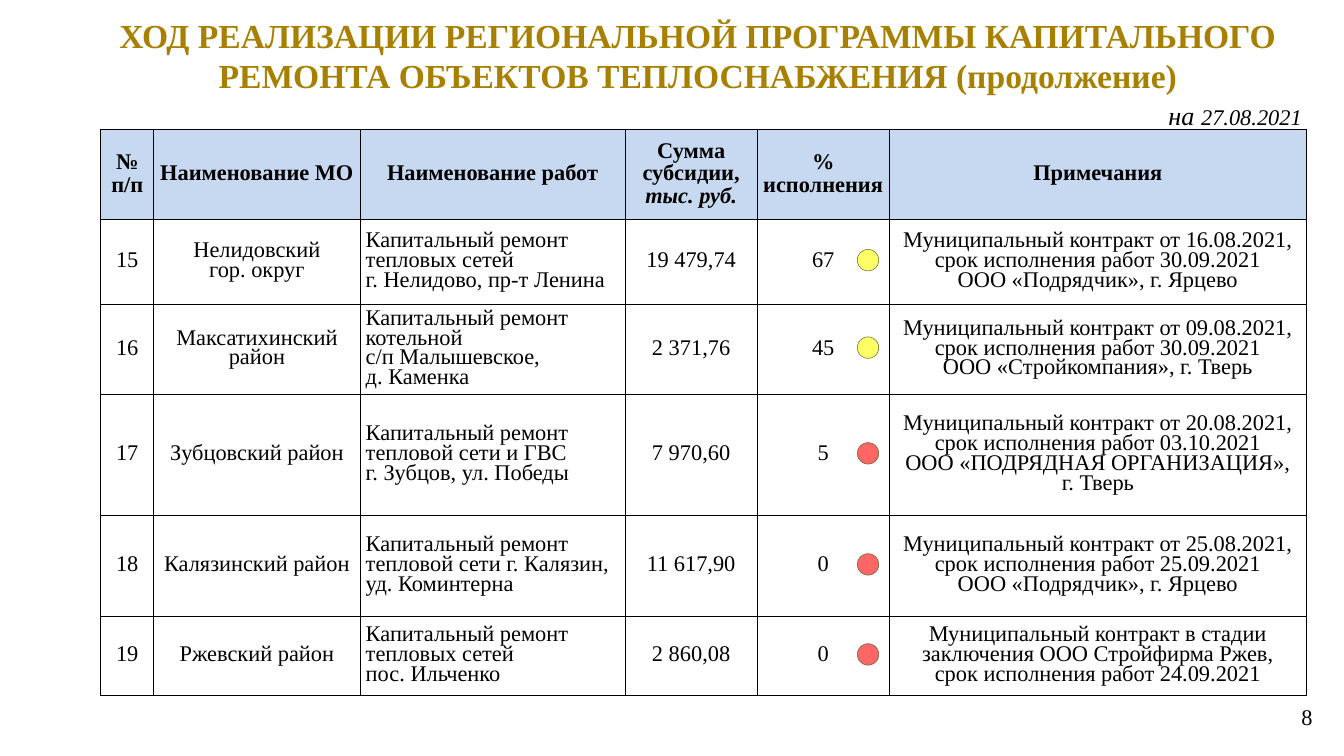
from lxml import etree
from pptx import Presentation
from pptx.dml.color import RGBColor
from pptx.enum.shapes import MSO_SHAPE as SHAPE
from pptx.enum.text import MSO_ANCHOR as ANCHOR, PP_ALIGN as ALIGN
from pptx.oxml.ns import qn
from pptx.util import Pt

BLACK, GOLD, HEAD, WHITE = "000000", "A88000", "C6D9F1", "FFFFFF"
YELLOW, RED, OLIVE = "FFFF00", "FF0000", "4F6228"
LEFT, TOP, DOT = 54, 69.2, 11.5
COLS = [28.4, 110.6, 142, 70.7, 70.7, 223.7]
HEIGHTS = [48.3, 45.4, 48.3, 65, 54, 42.4]
INSETS = [5, 5, 3, 5, 0, 0]
HEADER = ["№\nп/п", "Наименование МО", "Наименование работ",
          "Сумма субсидии,\nтыс. руб.", "%\nисполнения", "Примечания"]
ROWS = [
    ["15", "Нелидовский\nгор. округ",
     "Капитальный ремонт\nтепловых сетей\nг. Нелидово, пр-т Ленина", "19 479,74", "67",
     "Муниципальный контракт от 16.08.2021,\nсрок исполнения работ 30.09.2021\n"
     "ООО «Подрядчик», г. Ярцево"],
    ["16", "Максатихинский\nрайон",
     "Капитальный ремонт\nкотельной\nс/п Малышевское,\nд. Каменка", "2 371,76", "45",
     "Муниципальный контракт от 09.08.2021,\nсрок исполнения работ 30.09.2021\n"
     "ООО «Стройкомпания», г. Тверь"],
    ["17", "Зубцовский район",
     "Капитальный ремонт\nтепловой сети и ГВС\nг. Зубцов, ул. Победы", "7 970,60", "5",
     "Муниципальный контракт от 20.08.2021,\nсрок исполнения работ 03.10.2021\n"
     "ООО «ПОДРЯДНАЯ ОРГАНИЗАЦИЯ»,\nг. Тверь"],
    ["18", "Калязинский район",
     "Капитальный ремонт\nтепловой сети г. Калязин, уд. Коминтерна", "11 617,90", "0",
     "Муниципальный контракт от 25.08.2021,\nсрок исполнения работ 25.09.2021\n"
     "ООО «Подрядчик», г. Ярцево"],
    ["19", "Ржевский район",
     "Капитальный ремонт тепловых сетей\nпос. Ильченко", "2 860,08", "0",
     "Муниципальный контракт в стадии заключения ООО Стройфирма Ржев,\n"
     "срок исполнения работ 24.09.2021"],
]


def rgb(value):
    return RGBColor.from_string(value)


class Deck:
    """Style and current slide, with one method per kind of element."""

    font = "Times New Roman"

    def __init__(self, prs):
        self.s = prs.slides.add_slide(prs.slide_layouts[6])

    def run(self, p, text, size=12, color=BLACK, bold=False, italic=False):
        r = p.add_run()
        r.text = text
        f = r.font
        f.name, f.size, f.bold, f.italic = self.font, Pt(size), bold, italic
        f.color.rgb = rgb(color)

    def text(self, x, y, w, h, runs, middle=False):
        tf = self.s.shapes.add_textbox(Pt(x), Pt(y), Pt(w), Pt(h)).text_frame
        tf.word_wrap = True
        if middle:
            tf.vertical_anchor = ANCHOR.MIDDLE
            tf.margin_left = tf.margin_right = Pt(3.6)
            tf.margin_top = tf.margin_bottom = Pt(2)
        p = tf.paragraphs[0]
        p.alignment = ALIGN.CENTER
        for text, style in runs:
            self.run(p, text, **style)

    def borders(self, cell):
        pr = cell._tc.get_or_add_tcPr()
        for i, side in enumerate(("a:lnL", "a:lnR", "a:lnT", "a:lnB")):
            ln = etree.Element(qn(side), w=str(Pt(0.5)))
            fill = etree.SubElement(ln, qn("a:solidFill"))
            etree.SubElement(fill, qn("a:srgbClr"), val=BLACK)
            pr.insert(i, ln)

    def cell(self, cell, text, inset, head, align, spacing):
        cell.fill.solid()
        cell.fill.fore_color.rgb = rgb(HEAD if head else WHITE)
        self.borders(cell)
        cell.vertical_anchor = ANCHOR.MIDDLE
        cell.margin_left = cell.margin_right = Pt(inset)
        cell.margin_top = cell.margin_bottom = Pt(3.6 if head else 0)
        tf = cell.text_frame
        for i, line in enumerate(text.split("\n")):
            p = tf.add_paragraph() if i else tf.paragraphs[0]
            p.alignment, p.line_spacing = align, spacing
            self.run(p, line, bold=head, italic=line == "тыс. руб.")

    def table(self, x, y, widths, heights, rows):
        tbl = self.s.shapes.add_table(len(rows), len(widths), Pt(x), Pt(y),
                                      Pt(sum(widths)), Pt(sum(heights))).table
        tbl.first_row = tbl.horz_banding = False
        for col, w in zip(tbl.columns, widths):
            col.width = Pt(w)
        for i, row in enumerate(rows):
            tbl.rows[i].height = Pt(heights[i])
            head = i == 0
            for j, text in enumerate(row):
                align = ALIGN.LEFT if j == 2 and not head else ALIGN.CENTER
                spacing = 0.9 if head and j < 5 else 0.8
                self.cell(tbl.cell(i, j), text, 0 if head else INSETS[j],
                          head, align, spacing)

    def dot(self, x, y, color):
        sp = self.s.shapes.add_shape(SHAPE.FLOWCHART_CONNECTOR, Pt(x), Pt(y), Pt(DOT), Pt(DOT))
        sp.shadow.inherit = False
        sp.fill.solid()
        sp.fill.fore_color.rgb = rgb(color)
        clr = sp._element.spPr.find(qn("a:solidFill"))[0]
        etree.SubElement(clr, qn("a:alpha"), val="60000")
        sp.line.color.rgb = rgb(OLIVE)
        sp.line.width = Pt(0.25)


def main():
    prs = Presentation()
    prs.slide_width, prs.slide_height = Pt(720), Pt(405)
    deck = Deck(prs)
    title = ("ХОД РЕАЛИЗАЦИИ РЕГИОНАЛЬНОЙ ПРОГРАММЫ КАПИТАЛЬНОГО "
             "РЕМОНТА ОБЪЕКТОВ ТЕПЛОСНАБЖЕНИЯ (продолжение)")
    deck.text(48, 4.3, 652, 51, [(title, dict(size=18, color=GOLD, bold=True))])
    deck.text(689, 372.5, 22.3, 22.3, [("8", {})], middle=True)
    deck.table(LEFT, TOP, COLS, HEIGHTS, [HEADER] + ROWS)
    for i, row in enumerate(ROWS, 1):
        center = TOP + sum(HEIGHTS[:i]) + HEIGHTS[i] / 2
        deck.dot(459.3, center - DOT / 2 - 0.8, YELLOW if int(row[4]) > 40 else RED)
    deck.text(612, 49.7, 99.4, 24.5, [("на ", dict(size=14, italic=True)),
                                      ("27.08.2021", dict(italic=True))])
    prs.save("out.pptx")


if __name__ == "__main__":
    main()
